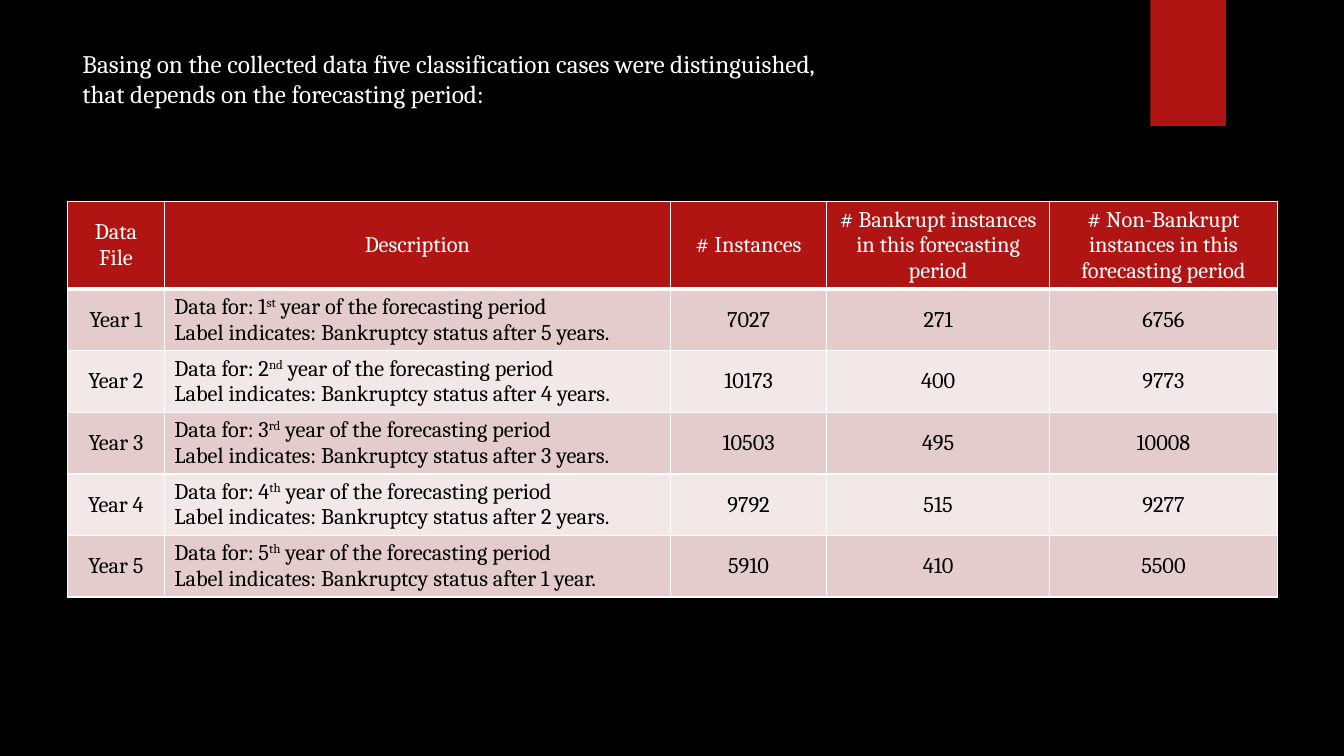
from dataclasses import dataclass

from lxml.etree import SubElement
from pptx import Presentation
from pptx.dml.color import RGBColor
from pptx.enum.shapes import MSO_SHAPE
from pptx.enum.text import MSO_ANCHOR, PP_ALIGN
from pptx.oxml.ns import qn
from pptx.util import Inches, Pt


@dataclass(frozen=True)
class Theme:
    font: str = "Cambria"
    background: str = "000000"
    accent: str = "B01513"
    light: str = "FFFFFF"
    dark: str = "000000"
    odd_band: str = "E4CCCC"
    even_band: str = "F2E8E7"
    intro_size: int = 18
    table_size: int = 16
    grid_width: int = 1
    header_rule: int = 3


THEME = Theme()
INTRO = ("Basing on the collected data five classification cases were distinguished, "
         "that depends on the forecasting period:")
HEADINGS = ["Data File", "Description", "# Instances",
            "# Bankrupt instances in this forecasting period",
            "# Non-Bankrupt instances in this forecasting period"]
COLUMN_WIDTHS = [0.96, 5.02, 1.55, 2.21, 2.26]
HEADER_HEIGHT = 0.87
ROW_HEIGHT = 0.61
CASES = [("st", 7027, 271, 6756), ("nd", 10173, 400, 9773), ("rd", 10503, 495, 10008),
         ("th", 9792, 515, 9277), ("th", 5910, 410, 5500)]


def rgb(value):
    return RGBColor.from_string(value)


def style_text(frame, size, color, align=PP_ALIGN.LEFT):
    for paragraph in frame.paragraphs:
        paragraph.alignment = align
        for run in paragraph.runs:
            run.font.name = THEME.font
            run.font.size = Pt(size)
            run.font.color.rgb = rgb(color)


def add_intro(slide):
    intro = slide.shapes.add_textbox(Inches(0.72), Inches(0.43), Inches(7.66), Inches(0.71))
    intro.text_frame.word_wrap = True
    intro.text_frame.text = INTRO
    style_text(intro.text_frame, THEME.intro_size, THEME.light)


def add_accent_tab(slide):
    tab = slide.shapes.add_shape(MSO_SHAPE.RECTANGLE, Inches(11.41), 0, Inches(0.75), Inches(1.25))
    tab.shadow.inherit = False
    tab.fill.solid()
    tab.fill.fore_color.rgb = rgb(THEME.accent)
    tab.line.fill.background()


def set_borders(cell, bottom_width):
    properties = cell._tc.get_or_add_tcPr()
    for side in "LRTB":
        width = bottom_width if side == "B" else THEME.grid_width
        border = SubElement(properties, qn(f"a:ln{side}"), w=str(Pt(width)))
        fill = SubElement(border, qn("a:solidFill"))
        SubElement(fill, qn("a:srgbClr"), val=THEME.light)


def style_cell(cell, fill, color, align=PP_ALIGN.CENTER, bottom_width=THEME.grid_width):
    set_borders(cell, bottom_width)
    cell.fill.solid()
    cell.fill.fore_color.rgb = rgb(fill)
    cell.vertical_anchor = MSO_ANCHOR.MIDDLE
    style_text(cell.text_frame, THEME.table_size, color, align)


def write_description(frame, year, suffix):
    period = frame.paragraphs[0]
    for part in (f"Data for: {year}", suffix, " year of the forecasting period"):
        period.add_run().text = part
    period.runs[1]._r.get_or_add_rPr().set("baseline", "30000")
    remaining = len(CASES) + 1 - year
    unit = "year" if remaining == 1 else "years"
    frame.add_paragraph().text = f"Label indicates: Bankruptcy status after {remaining} {unit}."


def add_case_table(slide):
    height = HEADER_HEIGHT + ROW_HEIGHT * len(CASES)
    table = slide.shapes.add_table(len(CASES) + 1, len(HEADINGS), Inches(0.67), Inches(2),
                                   Inches(sum(COLUMN_WIDTHS)), Inches(height)).table
    for column, width in zip(table.columns, COLUMN_WIDTHS):
        column.width = Inches(width)
    table.rows[0].height = Inches(HEADER_HEIGHT)
    for cell, heading in zip(table.rows[0].cells, HEADINGS):
        cell.text_frame.text = heading
        style_cell(cell, THEME.accent, THEME.light, bottom_width=THEME.header_rule)

    for year, (suffix, *counts) in enumerate(CASES, 1):
        table.rows[year].height = Inches(ROW_HEIGHT)
        band = THEME.odd_band if year % 2 else THEME.even_band
        label, description, *count_cells = table.rows[year].cells
        label.text_frame.text = f"Year {year}"
        write_description(description.text_frame, year, suffix)
        for cell, count in zip(count_cells, counts):
            cell.text_frame.text = str(count)
        for cell in (label, *count_cells):
            style_cell(cell, band, THEME.dark)
        style_cell(description, band, THEME.dark, PP_ALIGN.LEFT)


def main():
    deck = Presentation()
    deck.slide_width = Inches(13.33)
    deck.slide_height = Inches(7.5)
    slide = deck.slides.add_slide(deck.slide_layouts[6])
    slide.background.fill.solid()
    slide.background.fill.fore_color.rgb = rgb(THEME.background)
    add_accent_tab(slide)
    add_case_table(slide)
    add_intro(slide)
    deck.save("out.pptx")


if __name__ == "__main__":
    main()
